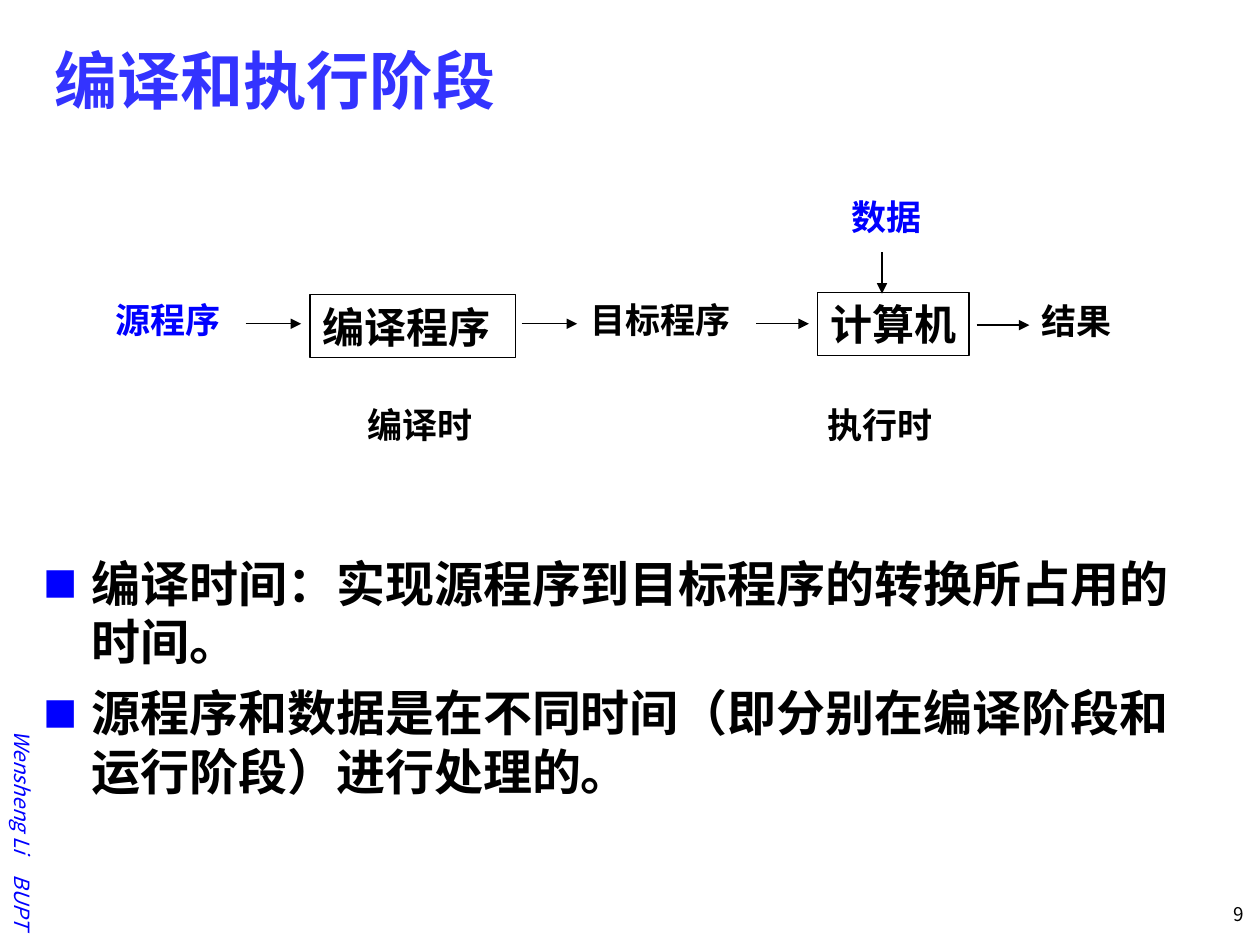
from lxml import etree
from pptx import Presentation
from pptx import util as u
from pptx.dml.color import RGBColor
from pptx.enum import shapes, text
from pptx.oxml.ns import qn

THEME = {
    "blue": "0000FF", "title": "3333FF", "ink": "000000",
    "sans": "Noto Sans CJK SC", "serif": "Times New Roman",
    "head": 36, "body": 28, "box": 24, "label": 20, "foot": 12, "page": 10.8,
    "line": 0.75,
}

deck = Presentation()
deck.slide_width, deck.slide_height = u.Inches(10), u.Inches(7.5)
COL, ROW = deck.slide_width / 100, deck.slide_height / 75
slide = deck.slides.add_slide(deck.slide_layouts[5])
items = slide.shapes


def place(x, y, w, h):
    """Turn grid columns and rows into lengths."""
    return [int(n) for n in (x * COL, y * ROW, w * COL, h * ROW)]


def write(para, words, size, color="ink", face="serif", bold=True):
    """Add one styled run with its East Asian font."""
    run = para.add_run()
    run.text = words
    font = run.font
    font.name, font.size, font.bold = THEME[face], u.Pt(THEME[size]), bold
    font.color.rgb = RGBColor.from_string(THEME[color])
    asian = etree.Element(qn("a:ea"), typeface=THEME["sans"])
    font._element.find(qn("a:latin")).addnext(asian)
    return run


# Title
title = items.title
title.left, title.top, title.width, title.height = place(3.3, 1.7, 94.2, 9.2)
frame = title.text_frame
frame.vertical_anchor = text.MSO_ANCHOR.MIDDLE
frame.paragraphs[0].alignment = text.PP_ALIGN.LEFT
write(frame.paragraphs[0], "编译和执行阶段", "head", "title", "sans")

# Author line up the left edge, and page number
for words, spot, turn, size, color in (
    ("Wensheng Li　BUPT", (-11.4, 60, 26.4, 3), 90, "foot", "blue"),
    ("9", (91.8, 71.5, 7.9, 3), 0, "page", "ink"),
):
    note = items.add_textbox(*place(*spot))
    note.rotation = turn
    frame = note.text_frame
    frame.word_wrap = True
    para = frame.paragraphs[0]
    para.alignment = text.PP_ALIGN.RIGHT
    if turn:
        frame.vertical_anchor = text.MSO_ANCHOR.MIDDLE
    else:
        para.line_spacing = 0.8
    run = write(para, words, size, color, "sans", False)
    run.font.italic = bool(turn)

# Bulleted explanation
body = items.add_textbox(*place(2.5, 43.4, 95, 26.6))
frame = body.text_frame
frame.word_wrap = True
for i, words in enumerate((
    "编译时间：实现源程序到目标程序的转换所占用的时间。",
    "源程序和数据是在不同时间（即分别在编译阶段和运行阶段）进行处理的。",
)):
    para = frame.add_paragraph() if i else frame.paragraphs[0]
    if i:
        para.space_before = u.Pt(7)
    props = para._p.get_or_add_pPr()
    indent = int(3.8 * COL)
    props.set("marL", str(indent))
    props.set("indent", str(-indent))
    tint = etree.SubElement(props, qn("a:buClr"))
    etree.SubElement(tint, qn("a:srgbClr"), val=THEME["blue"])
    etree.SubElement(props, qn("a:buSzPct"), val="70000")
    etree.SubElement(props, qn("a:buFont"), typeface=THEME["sans"])
    etree.SubElement(props, qn("a:buChar"), char="■")
    write(para, words, "body", face="sans")

# Flow labels
for words, x, y, color in (
    ("源程序", 8.2, 23.2, "blue"),
    ("目标程序", 45.9, 23.2, "ink"),
    ("结果", 81.7, 23.3, "ink"),
    ("数据", 66.6, 15, "blue"),
    ("编译时", 28.2, 31.5, "ink"),
    ("执行时", 64.7, 31.5, "ink"),
):
    label = items.add_textbox(*place(x, y, 2 + 2.8 * len(words), 4.4))
    label.text_frame.word_wrap = False
    write(label.text_frame.paragraphs[0], words, "label", color)

# Framed steps
for words, x, y, w in (("编译程序", 24.6, 23.4, 16.3), ("计算机", 64.9, 23.2, 12)):
    step = items.add_shape(shapes.MSO_SHAPE.RECTANGLE, *place(x, y, w, 5))
    step.shadow.inherit = False
    step.fill.background()
    step.line.color.rgb = RGBColor.from_string(THEME["ink"])
    step.line.width = u.Pt(THEME["line"])
    frame = step.text_frame
    frame.word_wrap = False
    frame.vertical_anchor = text.MSO_ANCHOR.TOP
    frame.paragraphs[0].alignment = text.PP_ALIGN.LEFT
    write(frame.paragraphs[0], words, "box")

# Arrows between the parts
for x, y, dx, dy in (
    (19.5, 25.7, 4.4, 0),
    (41.4, 25.7, 4.4, 0),
    (60, 25.7, 4.2, 0),
    (77.5, 25.8, 4.2, 0),
    (70, 20, 0, 3.3),
):
    ends = place(x, y, x + dx, y + dy)
    arrow = items.add_connector(shapes.MSO_CONNECTOR.STRAIGHT, *ends)
    arrow.line.color.rgb = RGBColor.from_string(THEME["ink"])
    arrow.line.width = u.Pt(THEME["line"])
    etree.SubElement(arrow.line._get_or_add_ln(), qn("a:tailEnd"), type="triangle")
    etree.SubElement(arrow._element.spPr, qn("a:effectLst"))

deck.save("out.pptx")
